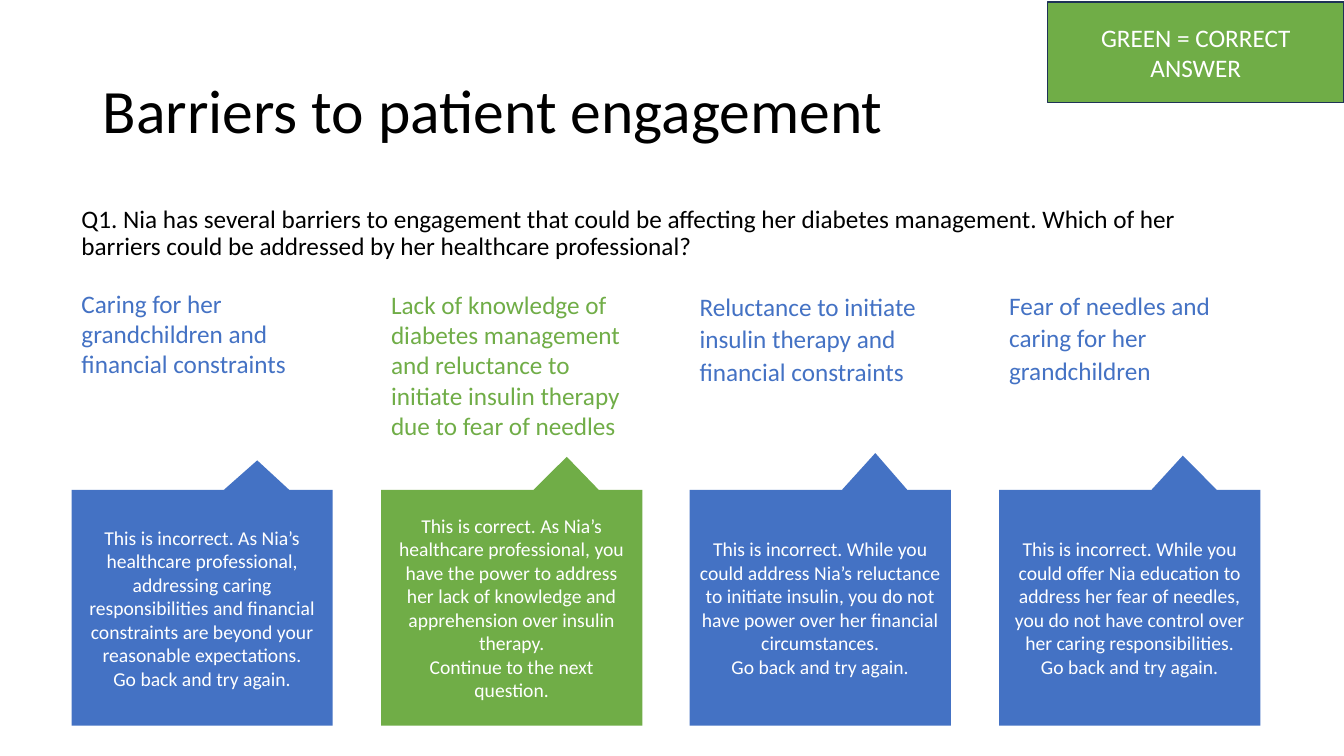
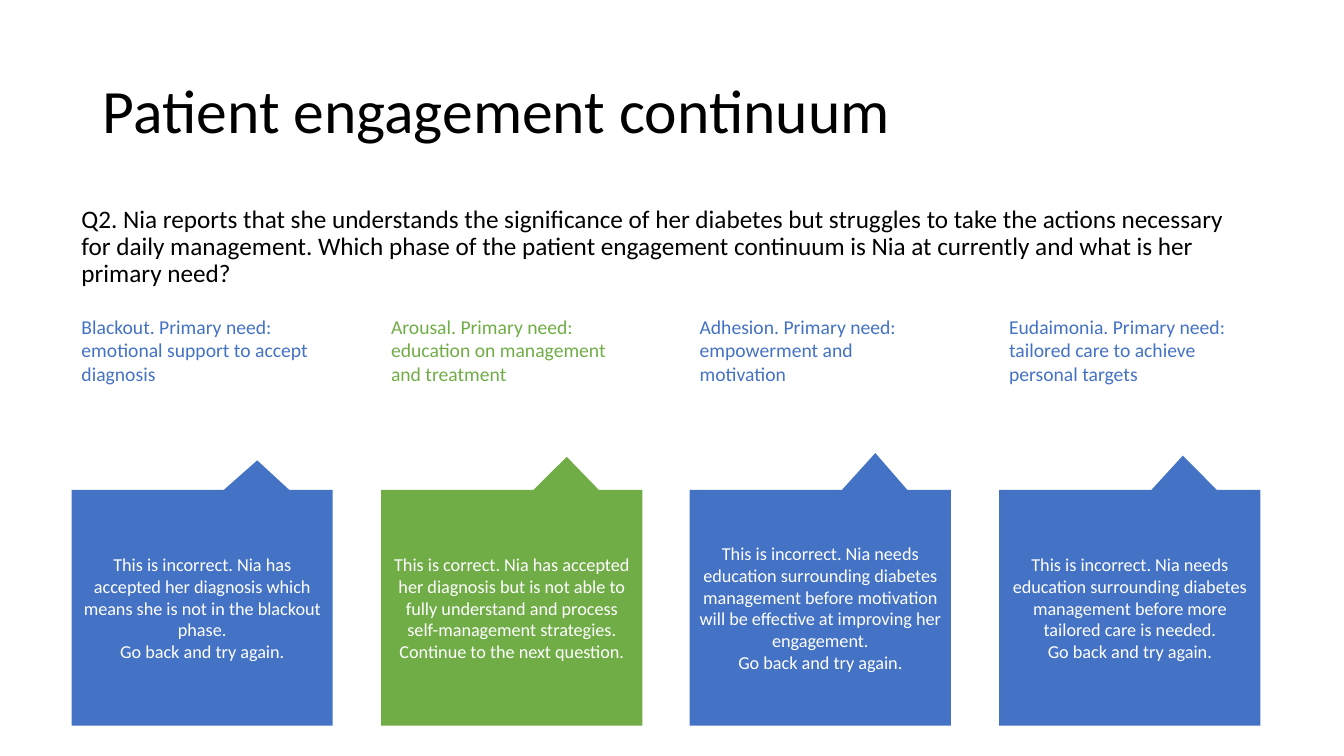
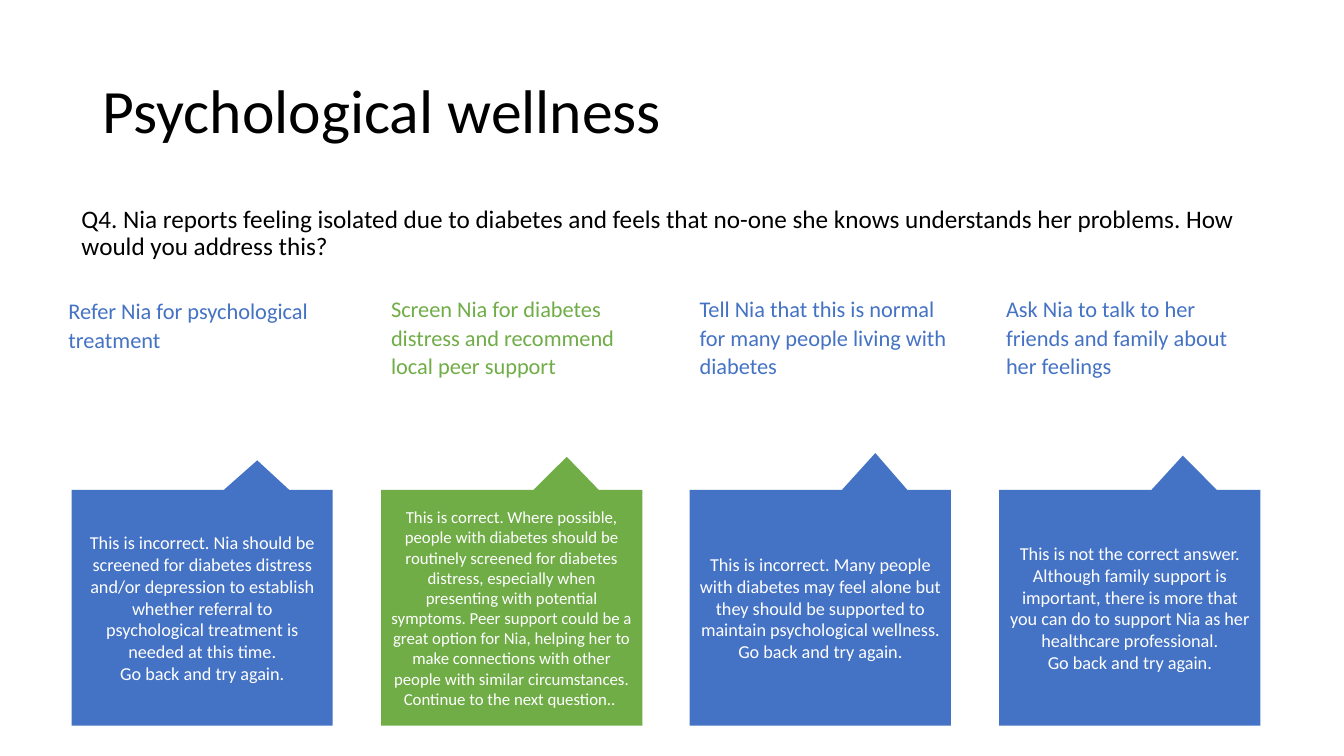
from dataclasses import dataclass

from pptx import Presentation
from pptx.dml.color import RGBColor
from pptx.enum.shapes import MSO_SHAPE
from pptx.enum.text import MSO_ANCHOR, PP_ALIGN
from pptx.util import Emu, Pt

CALLOUT, RECTANGLE = MSO_SHAPE.RECTANGULAR_CALLOUT, MSO_SHAPE.RECTANGLE
TOP, MIDDLE = MSO_ANCHOR.TOP, MSO_ANCHOR.MIDDLE
LEFT, CENTER = PP_ALIGN.LEFT, PP_ALIGN.CENTER
PX = 9144  # 100 px to the inch


@dataclass(frozen=True)
class Theme:
    font: str = "Calibri"
    ink: str = "000000"
    white: str = "FFFFFF"
    wrong: str = "4472C4"
    correct: str = "70AD47"
    key_border: str = "1E3256"
    title_size: int = 44
    text_size: int = 18


@dataclass
class Answer:
    """One choice: its wording, the feedback on it and how the wording is set."""
    choice: str
    feedback: str
    box: tuple  # shift from the column, top, width, height
    spacing: float = 1.0
    feedback_size: int = 13


THEME = Theme()
COLUMN_LEFT, COLUMN_WIDTH, COLUMN_SPAN = 71, 259, 920
CALLOUT_TOP, CALLOUT_HEIGHT = 486, 234
POINTERS = [(0.211, -0.625), (0.211, -0.64), (0.211, -0.656), (0.203, -0.645)]
CORRECT_COLUMN = 1
RETRY = "\nGo back and try again."
NEXT = "\nContinue to the next question."

QUIZ = [
    ("Barriers to patient engagement",
     "Q1. Nia has several barriers to engagement that could be affecting her diabetes management. "
     "Which of her barriers could be addressed by her healthcare professional?",
     (1170, 76), 18, [
         Answer("Caring for her grandchildren and financial constraints",
                "This is incorrect. As Nia’s healthcare professional, addressing caring responsibilities "
                "and financial constraints are beyond your reasonable expectations." + RETRY,
                (0, 281, 259, 101), feedback_size=14),
         Answer("Lack of knowledge of diabetes management and reluctance to initiate insulin therapy "
                "due to fear of needles",
                "This is correct. As Nia’s healthcare professional, you have the power to address her "
                "lack of knowledge and apprehension over insulin therapy." + NEXT,
                (0, 282, 259, 162), feedback_size=14),
         Answer("Reluctance to initiate insulin therapy and financial constraints",
                "This is incorrect. While you could address Nia’s reluctance to initiate insulin, you do "
                "not have power over her financial circumstances." + RETRY,
                (0, 282, 259, 106), 1.07, 14),
         Answer("Fear of needles and caring for her grandchildren",
                "This is incorrect. While you could offer Nia education to address her fear of needles, "
                "you do not have control over her caring responsibilities." + RETRY,
                (0, 281, 259, 106), 1.07, 14),
     ]),
    ("Patient engagement continuum",
     "Q2. Nia reports that she understands the significance of her diabetes but struggles to take the "
     "actions necessary for daily management. Which phase of the patient engagement continuum is Nia "
     "at currently and what is her primary need?",
     (1170, 96), 14, [
         Answer("Blackout. Primary need: emotional support to accept diagnosis",
                "This is incorrect. Nia has accepted her diagnosis which means she is not in the "
                "blackout phase." + RETRY,
                (0, 307, 259, 81)),
         Answer("Arousal. Primary need: education on management and treatment",
                "This is correct. Nia has accepted her diagnosis but is not able to fully understand "
                "and process self-management strategies." + NEXT,
                (0, 307, 259, 81)),
         Answer("Adhesion. Primary need: empowerment and motivation",
                "This is incorrect. Nia needs education surrounding diabetes management before "
                "motivation will be effective at improving her engagement." + RETRY,
                (0, 307, 259, 81)),
         Answer("Eudaimonia. Primary need: tailored care to achieve personal targets",
                "This is incorrect. Nia needs education surrounding diabetes management before more "
                "tailored care is needed." + RETRY,
                (0, 307, 259, 81)),
     ]),
    ("Psychological wellness",
     "Q4. Nia reports feeling isolated due to diabetes and feels that no-one she knows understands "
     "her problems. How would you address this?",
     (1184, 96), 16, [
         Answer("Refer Nia for psychological treatment",
                "This is incorrect. Nia should be screened for diabetes distress and/or depression to "
                "establish whether referral to psychological treatment is needed at this time." + RETRY,
                (-13, 288, 272, 66), 1.07),
         Answer("Screen Nia for diabetes distress and recommend local peer support",
                "This is correct. Where possible, people with diabetes should be routinely screened for "
                "diabetes distress, especially when presenting with potential symptoms. Peer support "
                "could be a great option for Nia, helping her to make connections with other people "
                "with similar circumstances." + NEXT + ". ",
                (0, 286, 259, 95), 1.07, 12),
         Answer("Tell Nia that this is normal for many people living with diabetes",
                "This is incorrect. Many people with diabetes may feel alone but they should be "
                "supported to maintain psychological wellness." + RETRY,
                (0, 286, 267, 95), 1.07),
         Answer("Ask Nia to talk to her friends and family about her feelings",
                "This is not the correct answer. Although family support is important, there is more "
                "that you can do to support Nia as her healthcare professional." + RETRY,
                (-3, 286, 267, 95), 1.07),
     ]),
]


def px(*lengths):
    return [Emu(length * PX) for length in lengths]


def write(shape, text, size, color, align=LEFT, anchor=TOP, spacing=1.0):
    """Put text in a shape, one paragraph per line, all in one style."""
    frame = shape.text_frame
    frame.text = text
    frame.word_wrap = True
    frame.vertical_anchor = anchor
    for paragraph in frame.paragraphs:
        paragraph.alignment = align
        paragraph.line_spacing = spacing
        font = paragraph.font
        font.name, font.size = THEME.font, Pt(size)
        font.color.rgb = RGBColor.from_string(color)


deck = Presentation()
deck.slide_width, deck.slide_height = px(1333, 750)
title_only = deck.slide_layouts[5]

for heading, question, question_size, choice_size, answers in QUIZ:
    slide = deck.slides.add_slide(title_only)
    shapes = slide.shapes
    title = shapes.title
    title.left, title.top, title.width, title.height = px(92, 40, 1150, 145)
    write(title, heading, THEME.title_size, THEME.ink, anchor=MIDDLE, spacing=0.9)

    question_box = shapes.add_textbox(*px(COLUMN_LEFT, 200, *question_size))
    write(question_box, question, THEME.text_size, THEME.ink, spacing=0.9)

    for column, (answer, pointer) in enumerate(zip(answers, POINTERS)):
        left = COLUMN_LEFT + round(column * COLUMN_SPAN / 3)
        color = THEME.correct if column == CORRECT_COLUMN else THEME.wrong

        feedback = shapes.add_shape(CALLOUT, *px(left, CALLOUT_TOP, COLUMN_WIDTH, CALLOUT_HEIGHT))
        feedback.adjustments[0], feedback.adjustments[1] = pointer
        feedback.shadow.inherit = False
        feedback.fill.solid()
        feedback.fill.fore_color.rgb = RGBColor.from_string(color)
        feedback.line.fill.background()
        write(feedback, answer.feedback, answer.feedback_size, THEME.white, CENTER, MIDDLE)

        shift, top, width, height = answer.box
        choice = shapes.add_textbox(*px(left + shift, top, width, height))
        write(choice, answer.choice, choice_size, color, spacing=answer.spacing)

color_key = deck.slides[0].shapes.add_shape(RECTANGLE, *px(1039, 2, 294, 100))
color_key.shadow.inherit = False
color_key.fill.solid()
color_key.fill.fore_color.rgb = RGBColor.from_string(THEME.correct)
color_key.line.color.rgb = RGBColor.from_string(THEME.key_border)
color_key.line.width = Pt(1)
write(color_key, "GREEN = CORRECT ANSWER", THEME.text_size, THEME.white, CENTER, MIDDLE)

deck.save("out.pptx")
